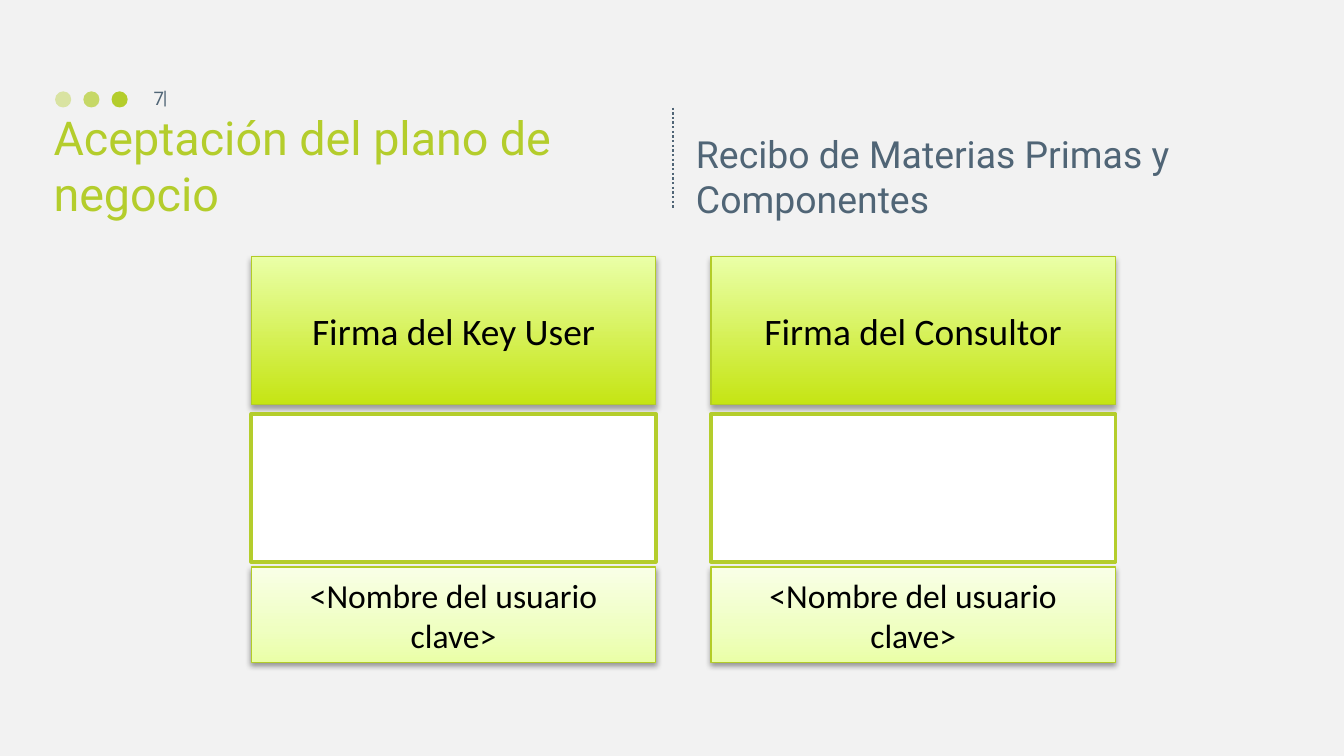
from dataclasses import dataclass

from pptx import Presentation
from pptx.dml.color import RGBColor
from pptx.enum.dml import MSO_LINE
from pptx.enum.shapes import MSO_CONNECTOR, MSO_SHAPE
from pptx.enum.text import MSO_ANCHOR, PP_ALIGN
from pptx.oxml import parse_xml
from pptx.oxml.ns import nsdecls, qn
from pptx.oxml.xmlchemy import OxmlElement
from pptx.util import Inches, Pt

RECT, OVAL = MSO_SHAPE.RECTANGLE, MSO_SHAPE.OVAL
STRAIGHT = MSO_CONNECTOR.STRAIGHT
DOTTED = MSO_LINE.ROUND_DOT
MIDDLE, BOTTOM, TOP = MSO_ANCHOR.MIDDLE, MSO_ANCHOR.BOTTOM, MSO_ANCHOR.TOP
LEFT, CENTER, RIGHT = PP_ALIGN.LEFT, PP_ALIGN.CENTER, PP_ALIGN.RIGHT


@dataclass(frozen=True)
class Theme:
    back: str = "F2F2F2"
    green: str = "B4CD2C"
    edge: str = "B3CC27"
    slate: str = "506576"
    white: str = "FFFFFF"
    black: str = "000000"
    head: str = "Roboto"
    body: str = "Calibri"
    title: int = 25
    large: int = 20
    name: int = 18
    small: int = 10
    strong: tuple = ((0, "C5E514"), (100, "EAFFA7"))
    pale: tuple = ((0, "EAFFA7"), (35, "EFFFC1"), (100, "F9FFE7"))


THEME = Theme()

# Slide of 16:9
WIDTH = Inches(10)
HEIGHT = WIDTH * 9 // 16

# Grid of the signature blocks, in inches
COLS = [1.87 + 3.42 * i for i in range(2)]
WIDE = 3.01
ROWS = {"role": (1.91, 1.1), "sign": (3.08, 1.1), "name": (4.22, 0.71)}
ROLES = ["Firma del Key User", "Firma del Consultor"]
NAME = "<Nombre del usuario clave>"


def color(code):
    return RGBColor.from_string(code)


def box(area):
    return [Inches(n) for n in area]


def write(shape, text, size, font, tint, align, anchor):
    frame = shape.text_frame
    frame.word_wrap = True
    frame.vertical_anchor = anchor
    frame.text = text
    line = frame.paragraphs[0]
    line.alignment = align
    face = line.runs[0].font
    face.size, face.name = Pt(size), font
    face.color.rgb = color(tint)
    return frame


def label(slide, area, text, size, tint=THEME.slate, align=LEFT, anchor=BOTTOM):
    shape = slide.shapes.add_textbox(*box(area))
    return write(shape, text, size, THEME.head, tint, align, anchor)


def dot(slide, left, alpha):
    shape = slide.shapes.add_shape(OVAL, *box((left, 0.68, 0.12, 0.12)))
    shape.shadow.inherit = False
    shape.fill.solid()
    shape.fill.fore_color.rgb = color(THEME.green)
    shape.line.fill.background()
    if alpha < 100:
        tone = shape._element.spPr.find(qn("a:solidFill"))[0]
        clear = OxmlElement("a:alpha")
        clear.set("val", str(alpha * 1000))
        tone.append(clear)


def rule(slide, x, top, end):
    line = slide.shapes.add_connector(STRAIGHT, *box((x, top, x, end)))
    line.line.color.rgb = color(THEME.slate)
    line.line.width = Pt(1.25)
    line.line.dash_style = DOTTED
    line._element.spPr.append(OxmlElement("a:effectLst"))


def panel(slide, left, row, edge, weight):
    top, high = ROWS[row]
    shape = slide.shapes.add_shape(RECT, *box((left, top, WIDE, high)))
    shape.shadow.inherit = False
    shape.line.color.rgb = color(edge)
    shape.line.width = Pt(weight)
    return shape


def shade(shape, stops, alpha, dist):
    """Give a shape an upward gradient and a soft shadow below it."""
    props = shape._element.spPr
    marks = "".join(
        f'<a:gs pos="{at * 1000}"><a:srgbClr val="{code}"/></a:gs>'
        for at, code in stops
    )
    fill = parse_xml(
        f'<a:gradFill {nsdecls("a")} rotWithShape="1"><a:gsLst>{marks}</a:gsLst>'
        '<a:lin ang="16200000" scaled="0"/></a:gradFill>'
    )
    props.find(qn("a:prstGeom")).addnext(fill)
    cast = parse_xml(
        f'<a:outerShdw {nsdecls("a")} blurRad="{Pt(3.1)}" dist="{Pt(dist)}" '
        f'dir="5400000" rotWithShape="0"><a:srgbClr val="{THEME.black}">'
        f'<a:alpha val="{alpha * 1000}"/></a:srgbClr></a:outerShdw>'
    )
    props.find(qn("a:effectLst")).append(cast)


def plate(slide, left, row, text, size, stops, alpha, dist):
    shape = panel(slide, left, row, THEME.edge, 0.75)
    shade(shape, stops, alpha, dist)
    write(shape, text, size, THEME.body, THEME.black, CENTER, MIDDLE)


def blank(slide, left):
    """Draw the empty field for a signature."""
    shape = panel(slide, left, "sign", THEME.green, 2)
    shape.fill.solid()
    shape.fill.fore_color.rgb = color(THEME.white)


def header(slide):
    for i, alpha in enumerate((40, 70, 100)):
        dot(slide, 0.41 + 0.21 * i, alpha)
    rule(slide, 5.01, 0.8, 1.55)
    bar = label(slide, (1.2, 0.66, 0.06, 0.15), "|", THEME.small,
                align=CENTER, anchor=TOP)
    bar.word_wrap = False
    bar.margin_left = bar.margin_right = bar.margin_bottom = 0
    bar.paragraphs[0].line_spacing = 0.5
    label(slide, (0.3, 0.75, 4.59, 0.94), "Aceptación del plano de negocio",
          THEME.title, THEME.green)
    label(slide, (5.08, 0.75, 4.42, 0.94),
          "Recibo de Materias Primas y Componentes", THEME.large)
    label(slide, (0.86, 0.58, 0.46, 0.3), "7", THEME.small,
          align=RIGHT, anchor=MIDDLE)


def main():
    deck = Presentation()
    deck.slide_width, deck.slide_height = WIDTH, HEIGHT
    slide = deck.slides.add_slide(deck.slide_layouts[6])
    slide.background.fill.solid()
    slide.background.fill.fore_color.rgb = color(THEME.back)
    header(slide)
    for left, role in zip(COLS, ROLES):
        plate(slide, left, "role", role, THEME.large, THEME.strong, 35, 1.8)
        blank(slide, left)
        plate(slide, left, "name", NAME, THEME.name, THEME.pale, 38, 1.6)
    deck.save("out.pptx")


if __name__ == "__main__":
    main()
